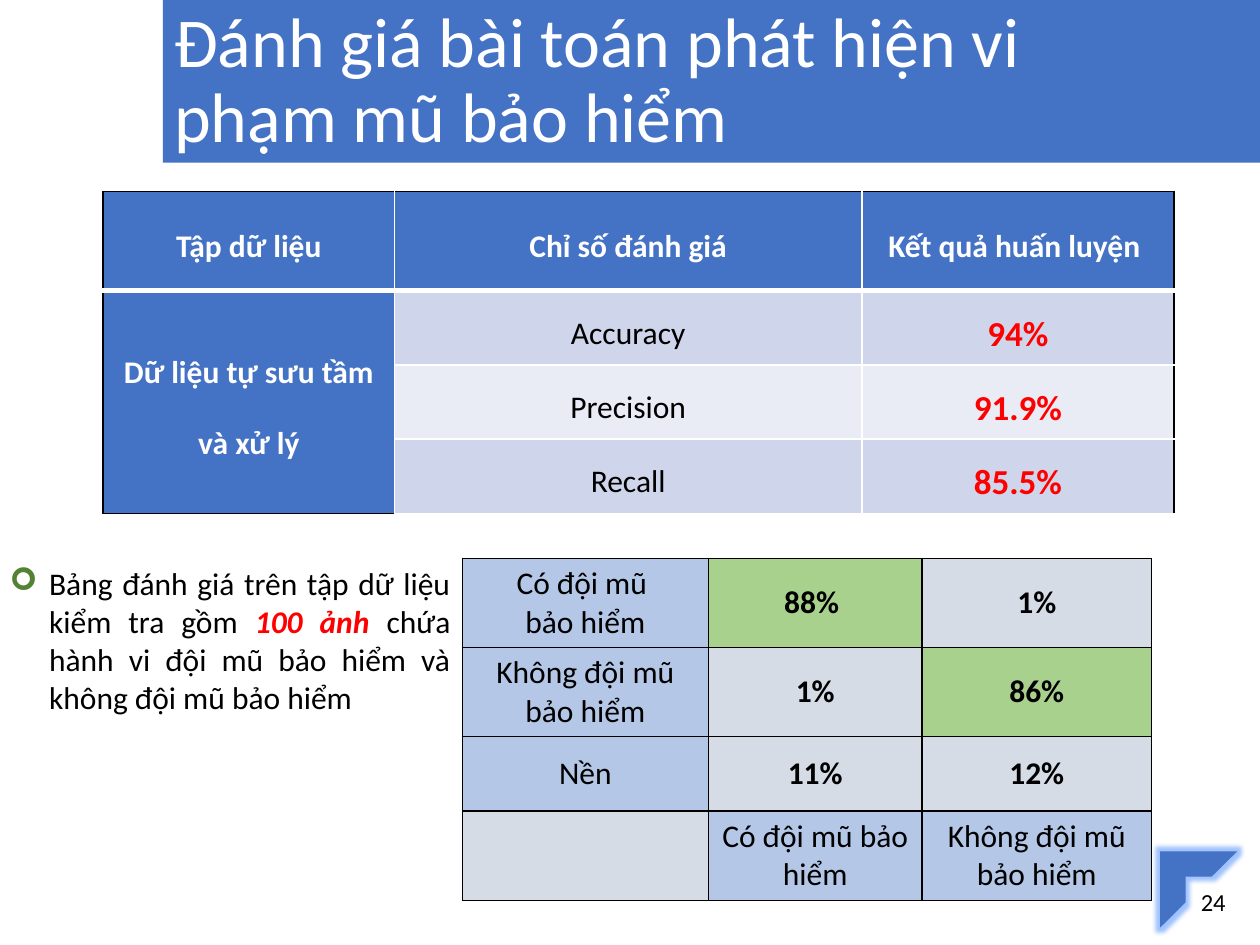
from pptx import Presentation
from pptx.dml.color import RGBColor
from pptx.enum.shapes import MSO_SHAPE
from pptx.enum.text import MSO_ANCHOR, PP_ALIGN
from pptx.oxml.ns import qn
from pptx.util import Pt
from lxml.etree import SubElement

RECT = MSO_SHAPE.RECTANGLE
FRAME = MSO_SHAPE.HALF_FRAME
MIDDLE = MSO_ANCHOR.MIDDLE
TOP = MSO_ANCHOR.TOP
LEFT = PP_ALIGN.LEFT
CENTER = PP_ALIGN.CENTER
JUSTIFY = PP_ALIGN.JUSTIFY

COLORS = {
    "blue": "4472C4",
    "glow": "A0C3FF",
    "white": "FFFFFF",
    "black": "000000",
    "red": "FF0000",
    "leaf": "548235",
    "band": "CFD5EA",
    "pale": "E9EBF5",
    "label": "B4C7E7",
    "hit": "A9D18E",
    "miss": "D6DCE5",
}

SCORES = [("Accuracy", "94%"), ("Precision", "91.9%"), ("Recall", "85.5%")]

MATRIX = [
    ["Có đội mũ \nbảo hiểm", "88% ", "1%"],
    ["Không đội mũ bảo hiểm", "1%", "86%"],
    ["Nền", "11%", "12%"],
    ["", "Có đội mũ bảo hiểm", "Không đội mũ bảo hiểm"],
]


def color(name):
    return RGBColor.from_string(COLORS[name])


def style(font, size, tone, bold=False):
    font.name = "Calibri"
    font.size = Pt(size)
    font.bold = bold
    font.color.rgb = color(tone)


def add_block(slide, kind, *place):
    shape = slide.shapes.add_shape(kind, *map(Pt, place))
    shape.shadow.inherit = False
    shape.fill.solid()
    shape.fill.fore_color.rgb = color("blue")
    shape.line.fill.background()
    return shape


def add_glow(shape, size):
    effects = shape._element.spPr.find(qn("a:effectLst"))
    glow = SubElement(effects, qn("a:glow"), rad=str(Pt(size)))
    SubElement(glow, qn("a:srgbClr"), val=COLORS["glow"])


def add_box(slide, place, anchor, align):
    box = slide.shapes.add_textbox(*map(Pt, place))
    frame = box.text_frame
    frame.word_wrap = True
    frame.vertical_anchor = anchor
    para = frame.paragraphs[0]
    para.alignment = align
    return para


def add_bullet(para, mark, tone, indent):
    props = para._p.get_or_add_pPr()
    props.set("marL", str(Pt(indent)))
    props.set("indent", str(-Pt(indent)))
    paint = SubElement(props, qn("a:buClr"))
    SubElement(paint, qn("a:srgbClr"), val=COLORS[tone])
    SubElement(props, qn("a:buFont"), typeface="Wingdings")
    SubElement(props, qn("a:buChar"), char=mark)


def add_grid(slide, left, top, cols, rows):
    place = map(Pt, (left, top, sum(cols), sum(rows)))
    table = slide.shapes.add_table(len(rows), len(cols), *place).table
    for col, width in zip(table.columns, cols):
        col.width = Pt(width)
    for row, height in zip(table.rows, rows):
        row.height = Pt(height)
    return table


def set_edges(cell, edges):
    props = cell._tc.get_or_add_tcPr()
    for side in "LRTB":
        tone, width = edges[side]
        line = SubElement(props, qn("a:ln" + side), w=str(Pt(width)))
        fill = SubElement(line, qn("a:solidFill"))
        SubElement(fill, qn("a:srgbClr"), val=COLORS[tone])


def fill_cell(cell, text, back, edges, size=18, tone="black", bold=False):
    set_edges(cell, edges)
    cell.fill.solid()
    cell.fill.fore_color.rgb = color(back)
    cell.vertical_anchor = MIDDLE
    cell.text = text
    for para in cell.text_frame.paragraphs:
        para.alignment = CENTER
        style(para.font, size, tone, bold)


def space_cell(cell):
    cell.margin_left = cell.margin_right = Pt(3.6)
    cell.margin_top = cell.margin_bottom = 0
    for i, para in enumerate(cell.text_frame.paragraphs):
        para.line_spacing = 1.3
        para.space_before = Pt(6 if i else 0)
        para.space_after = Pt(6)


def score_edges(row, col):
    edges = dict.fromkeys("LRTB", ("white", 1))
    if row == 0:
        edges.update(T=("black", 1), B=("white", 3))
    if col == 0:
        edges["L"] = ("black", 1)
        if row:
            edges["B"] = ("black", 1)
    if col == 2:
        edges["R"] = ("black", 1)
    return edges


def add_scores(slide):
    table = add_grid(slide, 59, 109.5, [166.5, 267, 178.5], [56.5] + [42.5] * 3)
    heads = ["Tập dữ liệu", "Chỉ số đánh giá", "Kết quả huấn luyện "]
    for col, text in enumerate(heads):
        fill_cell(table.cell(0, col), text, "blue", score_edges(0, col),
                  tone="white", bold=True)
    for row, (name, value) in enumerate(SCORES, 1):
        back = "band" if row % 2 else "pale"
        source = "Dữ liệu tự sưu tầm\nvà xử lý" if row == 1 else ""
        fill_cell(table.cell(row, 0), source, "blue", score_edges(row, 0),
                  tone="white", bold=True)
        fill_cell(table.cell(row, 1), name, back, score_edges(row, 1))
        fill_cell(table.cell(row, 2), value, back, score_edges(row, 2),
                  20, "red", True)
    table.cell(1, 0).merge(table.cell(3, 0))
    for cell in table.iter_cells():
        space_cell(cell)


def add_matrix(slide):
    table = add_grid(slide, 264.25, 319, [140.5, 122.25, 131], [51, 51, 42.5, 51])
    edges = dict.fromkeys("LRTB", ("black", 1))
    for row, texts in enumerate(MATRIX):
        for col, text in enumerate(texts):
            label = (col == 0) != (row == 3)
            hit = col == row + 1
            back = "label" if label else "hit" if hit else "miss"
            fill_cell(table.cell(row, col), text, back, edges, bold=not label)


def add_note(slide):
    para = add_box(slide, (-1.5, 319, 266, 142.5), TOP, JUSTIFY)
    add_bullet(para, "➢", "leaf", 22.5)
    parts = [
        ("Bảng đánh giá trên tập dữ liệu kiểm tra gồm ", False),
        ("100 ảnh ", True),
        ("chứa hành vi đội mũ bảo hiểm và không đội mũ bảo hiểm", False),
    ]
    for text, strong in parts:
        run = para.add_run()
        run.text = text
        style(run.font, 18, "red" if strong else "black", strong)
        run.font.italic = strong


def add_frame(slide):
    add_block(slide, RECT, 93, 0, 627, 93)
    corner = add_block(slide, FRAME, 663, 486.5, 44, 43.5)
    add_glow(corner, 5)
    number = add_box(slide, (666.5, 501, 53.5, 29), MIDDLE, CENTER)
    number.text = "24"
    style(number.font, 14, "black")
    title = add_box(slide, (92.5, 0.5, 536, 93), MIDDLE, LEFT)
    title.text = "Đánh giá bài toán phát hiện vi phạm mũ bảo hiểm"
    title.line_spacing = 0.9
    style(title.font, 40, "white")


def main():
    deck = Presentation()
    deck.slide_width = Pt(720)
    deck.slide_height = Pt(540)
    slide = deck.slides.add_slide(deck.slide_layouts[6])
    add_frame(slide)
    add_scores(slide)
    add_note(slide)
    add_matrix(slide)
    deck.save("out.pptx")


if __name__ == "__main__":
    main()
